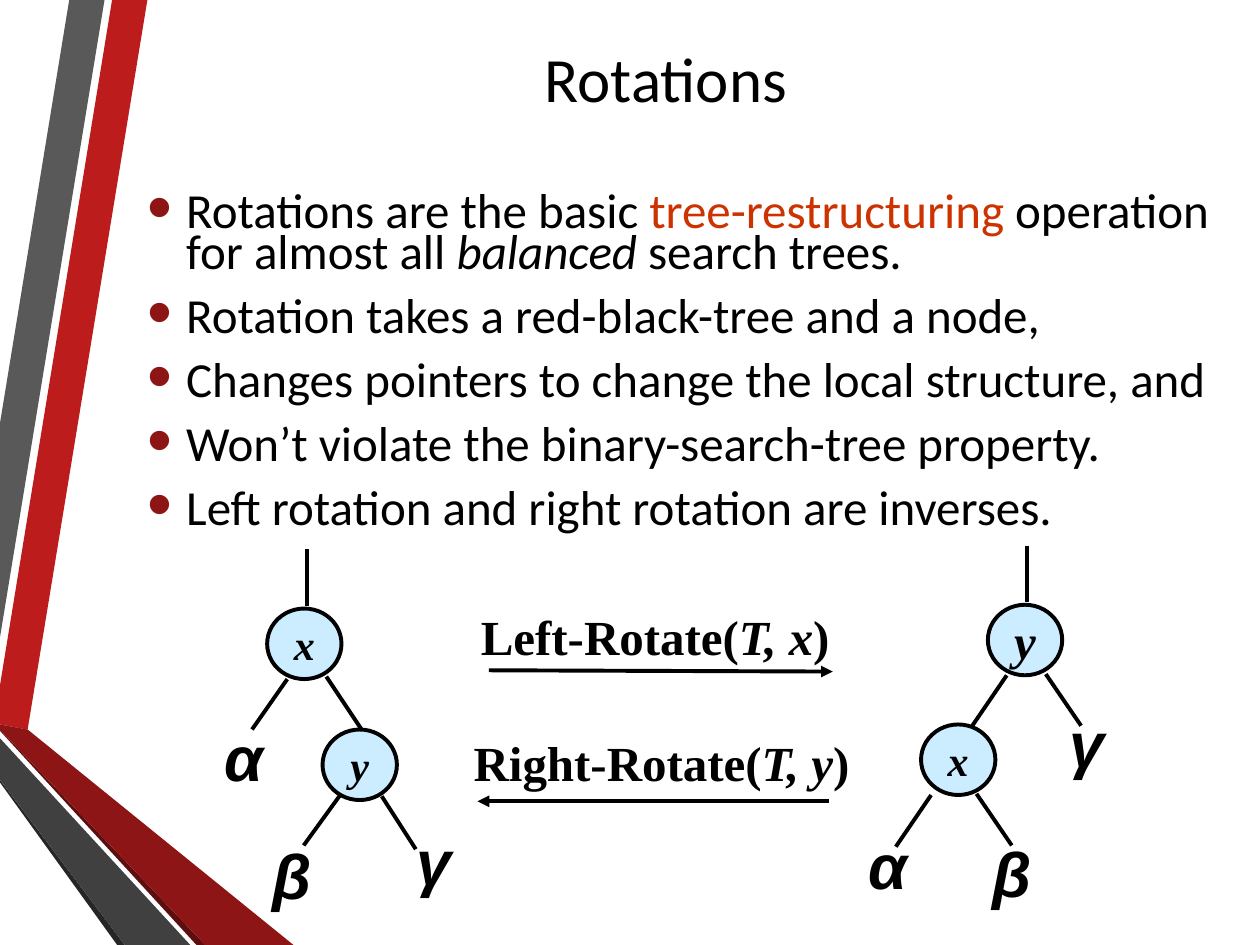
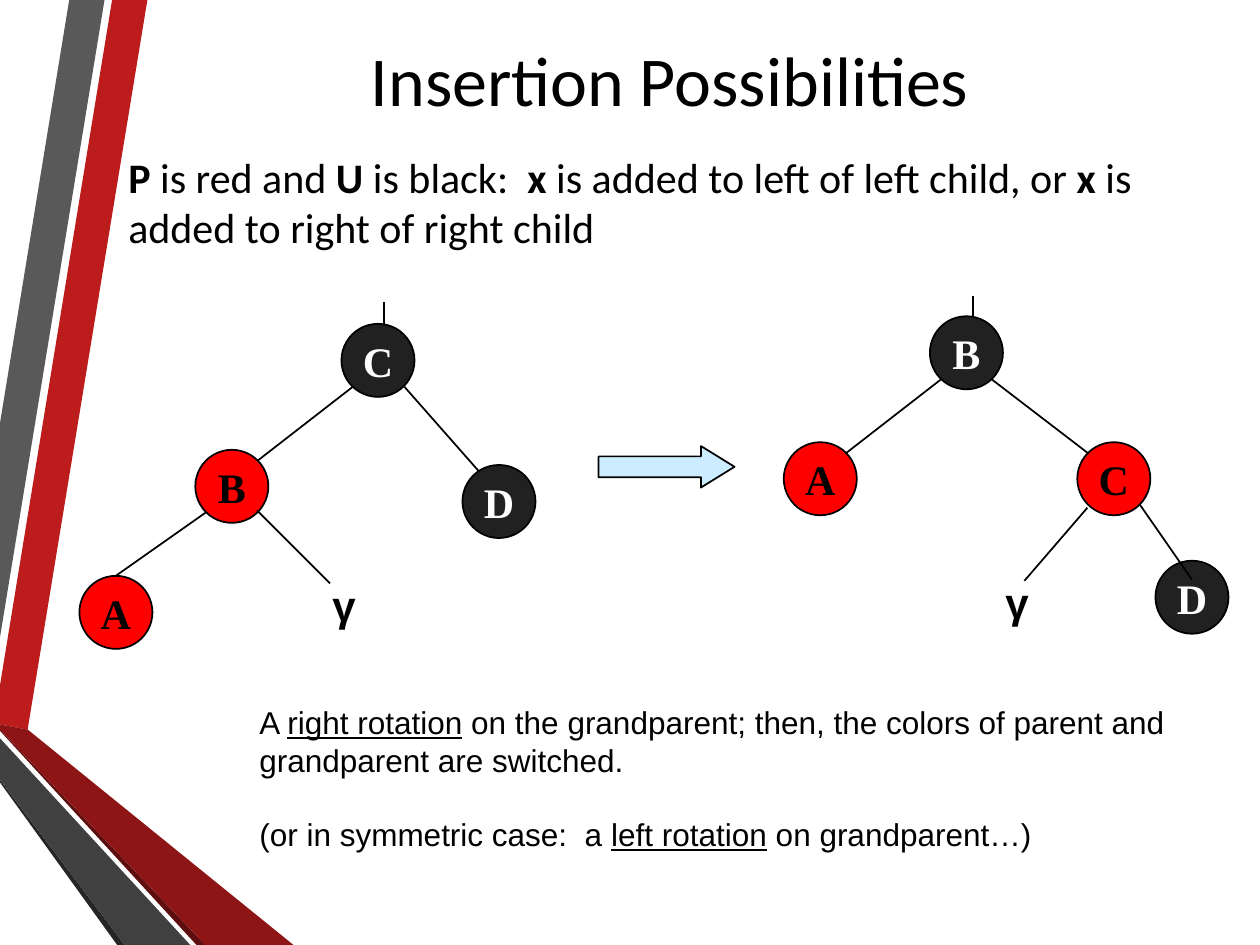
from lxml import etree
from pptx import Presentation
from pptx.dml.color import RGBColor
from pptx.enum.shapes import MSO_CONNECTOR as Connector, MSO_SHAPE as Preset
from pptx.enum.text import MSO_ANCHOR as Anchor, PP_ALIGN as Align
from pptx.oxml.ns import qn
from pptx.util import Emu, Inches, Pt

# The slide is a grid of 100 columns by 75 rows of square cells
SLIDE_W, SLIDE_H = Inches(10), Inches(7.5)
COLUMNS = 100
COLORS = {
    "ink": "000000", "white": "FFFFFF", "accent": "CC3300", "pale": "CCECFF",
    "red": "FF0000", "black": "212121",
    "ribbon": "BC1C1C", "grey": "595959", "coal": "262626",
    "wine": "5E0E0E", "maroon": "8D1515", "slate": "404040",
}
HEADING, SERIF, SANS = "Calibri", "Times New Roman", "Arial"

# Ribbons on the left edge, from back to front
RIBBONS = [
    ("ribbon", [(0, 54.4), (0, 57.5), (2.2, 57.9), (11.7, 0), (8.9, 0)]),
    ("grey", [(8.3, 0), (5.5, 0), (0, 33.6), (0, 50.6)]),
    ("coal", [(0, 61.9), (0, 62.1), (9.3, 75), (9.9, 75)]),
    ("wine", [(0, 57.9), (0, 58), (15.6, 75), (16.3, 75)]),
    ("maroon", [(0, 57.9), (16.3, 75), (23.3, 75), (2.2, 57.9), (0, 57.5)]),
    ("slate", [(0, 61.9), (9.9, 75), (15.1, 75), (0, 58.6)]),
]


def cell(count):
    return Emu(round(SLIDE_W * count / COLUMNS))


def rgb(name):
    return RGBColor.from_string(COLORS[name])


def paint(shape, fill, line_width=None):
    shape.shadow.inherit = False
    shape.fill.solid()
    shape.fill.fore_color.rgb = rgb(fill)
    if line_width is None:
        shape.line.fill.background()
    else:
        shape.line.color.rgb = rgb("ink")
        shape.line.width = Pt(line_width)


def add_runs(paragraph, runs, font, size, color="ink", marks=""):
    """Each run is (text, marks, optional colour); marks are b, i and u."""
    for text, own_marks, *own_color in runs:
        run = paragraph.add_run()
        run.text = text
        face = run.font
        face.name, face.size = font, Pt(size)
        face.color.rgb = rgb(own_color[0] if own_color else color)
        face.bold = "b" in marks + own_marks
        face.italic = "i" in marks + own_marks
        face.underline = "u" in marks + own_marks


def add_text(slide, box, paragraphs, font, size, marks="", align=Align.LEFT,
             anchor=Anchor.TOP, wrap=True):
    frame = slide.shapes.add_textbox(*map(cell, box)).text_frame
    frame.word_wrap = wrap
    frame.vertical_anchor = anchor
    for index, runs in enumerate(paragraphs):
        paragraph = frame.paragraphs[0] if index == 0 else frame.add_paragraph()
        paragraph.alignment = align
        add_runs(paragraph, runs, font, size, marks=marks)
    return frame


def add_label(slide, box, runs, font, size, marks):
    add_text(slide, box, [runs], font, size, marks, Align.CENTER,
             Anchor.MIDDLE, wrap=False)


def add_bullet(paragraph):
    properties = paragraph._p.get_or_add_pPr()
    properties.set("marL", str(Inches(0.31)))
    properties.set("indent", str(-Inches(0.31)))
    color = etree.SubElement(properties, qn("a:buClr"))
    etree.SubElement(color, qn("a:srgbClr")).set("val", COLORS["maroon"])
    etree.SubElement(properties, qn("a:buSzPct")).set("val", "145000")
    etree.SubElement(properties, qn("a:buFont")).set("typeface", SANS)
    etree.SubElement(properties, qn("a:buChar")).set("char", "•")


def add_edge(slide, start, end, width, arrow=False):
    edge = slide.shapes.add_connector(Connector.STRAIGHT,
                                      *map(cell, start + end))
    edge.line.color.rgb = rgb("ink")
    edge.line.width = Pt(width)
    if arrow:
        tail = etree.SubElement(edge.line._get_or_add_ln(), qn("a:tailEnd"))
        tail.set("type", "triangle")
    etree.SubElement(edge._element.spPr, qn("a:effectLst"))


def add_node(slide, key, place, size, fill, line_width, marks, text_size=24):
    node = slide.shapes.add_shape(Preset.OVAL, *map(cell, place + size))
    paint(node, fill, line_width)
    frame = node.text_frame
    frame.word_wrap = False
    frame.vertical_anchor = Anchor.MIDDLE
    frame.paragraphs[0].alignment = Align.CENTER
    color = "white" if fill == "black" else "ink"
    add_runs(frame.paragraphs[0], [(key, marks)], SERIF, text_size, color)


def add_slide(deck, title, box, size):
    slide = deck.slides.add_slide(deck.slide_layouts[6])
    slide.background.fill.solid()
    slide.background.fill.fore_color.rgb = rgb("white")
    for color, outline in RIBBONS:
        points = [(cell(x), cell(y)) for x, y in outline]
        builder = slide.shapes.build_freeform(*points[0], scale=1.0)
        builder.add_line_segments(points[1:], close=True)
        paint(builder.convert_to_shape(), color)
    add_text(slide, box, [[(title, "")]], HEADING, size,
             align=Align.CENTER, anchor=Anchor.MIDDLE)
    return slide


def rotations_slide(deck):
    slide = add_slide(deck, "Rotations", (10.7, 2.4, 84.3, 7.4), 36)

    # Facts about rotations
    facts = [
        [("Rotations are the basic ", ""),
         ("tree-restructuring", "", "accent"),
         (" operation for almost all ", ""),
         ("balanced", "i"), (" search trees.", "")],
        [("Rotation takes a red-black-tree and a node,", "")],
        [("Changes pointers to change the local structure, and", "")],
        [("Won’t violate the binary-search-tree property.", "")],
        [("Left rotation and right rotation are inverses.", "")],
    ]
    frame = add_text(slide, (10.7, 15, 88.3, 28), facts, HEADING, 28)
    for index, fact in enumerate(frame.paragraphs):
        fact.line_spacing = 0.7
        fact.space_before = Pt(7 if index else 0)
        fact.space_after = Pt(6)
        add_bullet(fact)

    # Trees before and after
    for key, place, size in [("y", (78.4, 48), 28), ("x", (73.1, 57.5), 24),
                             ("x", (21.2, 48.3), 24), ("y", (25.6, 57.9), 24)]:
        add_node(slide, key, place, (5.9, 5.6), "pale", 2.25, "bi", size)
    edges = [
        ((81.5, 43.3), (81.5, 47.8)), ((79.9, 53.6), (77.1, 57.7)),
        ((85.8, 57.6), (83, 53.5)), ((73.9, 63.1), (71.1, 67.2)),
        ((80.3, 67.1), (77.5, 63)),
        ((24.4, 43.6), (24.4, 48.1)), ((22.8, 53.9), (20, 57.9)),
        ((28.7, 57.9), (25.9, 53.7)), ((27, 63.1), (24.1, 67.1)),
        ((33, 67.4), (30.3, 63.2)),
    ]
    for start, end in edges:
        add_edge(slide, start, end, 2.25)

    # Subtrees
    widths = {"α": 5.1, "β ": 6, "γ ": 6.1}
    for subtree, left, top in [("α", 67.9, 65.1), ("β ", 77.3, 65.7),
                               ("γ ", 83.2, 55.4), ("α", 16.8, 56.5),
                               ("β ", 20.2, 65.9), ("γ ", 31.4, 64.8)]:
        add_label(slide, (left, top, widths[subtree], 7), [(subtree, "")],
                  SANS, 36, "bi")

    # The two operations
    for call, arguments, box, start, end in [
            ("Left-Rotate(", "T, x", (37, 47.6, 30, 5.7),
             (38.8, 53.2), (66.1, 53.3)),
            ("Right-Rotate(", "T, y", (36.4, 57.6, 32.2, 5.7),
             (65.8, 63.6), (37.9, 63.6))]:
        add_label(slide, box, [(call, ""), (arguments, "i"), (")", "")],
                  SERIF, 28, "b")
        add_edge(slide, start, end, 2.25, arrow=True)


def insertion_slide(deck):
    slide = add_slide(deck, "Insertion Possibilities",
                      (11, 1.6, 84.3, 9.2), 40)

    # The case and its remedy
    case = [("P", "b"), (" is red and ", ""), ("U", "b"),
            (" is black:  ", ""), ("x", "b"),
            (" is added to left of left child, or ", ""), ("x ", "b"),
            ("is added to right of right child", "")]
    add_text(slide, (9.2, 11.5, 88.3, 11.4), [case], HEADING, 24)
    remedy = [
        [("A ", ""), ("right rotation", "u"),
         (" on the grandparent; then, the colors of parent and "
          "grandparent are switched.", "")],
        [("(or in symmetric case:  a ", ""), ("left rotation", "u"),
         (" on grandparent…)", "")],
    ]
    frame = add_text(slide, (19.6, 55.3, 77.5, 13), remedy, SANS, 18)
    frame.paragraphs[1].space_before = Pt(20.7)

    # Step from one tree to the other
    step = slide.shapes.add_shape(Preset.RIGHT_ARROW,
                                  *map(cell, (47.5, 35.4, 10.8, 3.3)))
    step.adjustments[0], step.adjustments[1] = 0.5, 0.81
    paint(step, "pale", 1)

    # Trees before and after
    for key, fill, place in [
            ("C", "black", (27.1, 25.7)), ("B", "red", (15.5, 35.7)),
            ("A", "red", (6.3, 45.7)), ("D", "black", (36.7, 36.9)),
            ("B", "black", (73.8, 25.1)), ("A", "red", (62.2, 35.1)),
            ("C", "red", (85.5, 35.1)), ("D", "black", (91.7, 44.5))]:
        add_node(slide, key, place, (5.8, 5.8), fill, 1, "b")
    edges = [
        ((30.5, 24), (30.5, 25.7)), ((28, 30.7), (20.4, 36.6)),
        ((32.1, 30.7), (38, 37.4)), ((16.3, 40.7), (9.2, 45.7)),
        ((20.4, 40.5), (26.2, 46.3)),
        ((77.2, 23.5), (77.2, 25.1)), ((74.7, 30.1), (67.1, 36)),
        ((78.7, 30.1), (86.4, 36)), ((90.5, 40.1), (94.6, 46)),
        ((86.3, 40.3), (81.3, 46.1)),
    ]
    for start, end in edges:
        add_edge(slide, start, end, 1)
    for left, top in [(25.4, 45.5), (78.8, 45.3)]:
        add_text(slide, (left, top, 4.2, 5), [[("γ", "b")]], SANS, 24)


def main():
    deck = Presentation()
    deck.slide_width, deck.slide_height = SLIDE_W, SLIDE_H
    rotations_slide(deck)
    insertion_slide(deck)
    deck.save("out.pptx")


if __name__ == "__main__":
    main()
